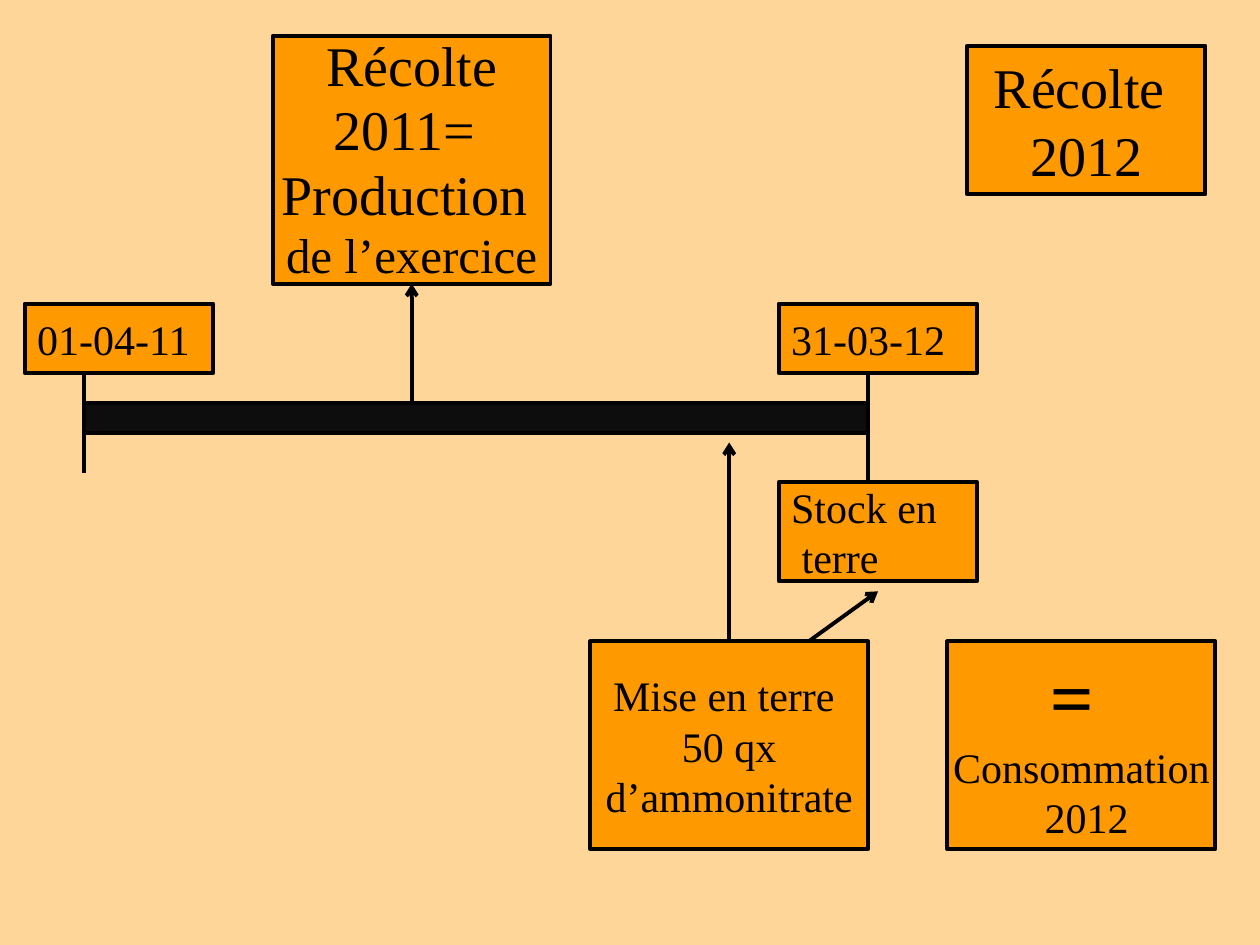
from lxml.etree import SubElement
from pptx import Presentation
from pptx.dml.color import RGBColor
from pptx.enum.shapes import MSO_CONNECTOR, MSO_SHAPE
from pptx.enum.text import MSO_ANCHOR, PP_ALIGN
from pptx.oxml.ns import qn
from pptx.util import Cm, Pt

BACKGROUND = RGBColor(0xFF, 0xD6, 0x99)
ORANGE = RGBColor(0xFF, 0x99, 0x00)
BAR_BLACK = RGBColor(0x0D, 0x0D, 0x0D)
BLACK = RGBColor(0x00, 0x00, 0x00)
FONT = "Times New Roman"
LINE_WIDTH = Pt(2.25)

# Timeline positions in centimetres
START_X, END_X = 1.7, 17.5
DATE_TOP, DATE_HEIGHT = 6.12, 1.4
BAR_TOP, BAR_HEIGHT = 8.13, 0.61
STOCK_TOP = 9.72
LOWER_TOP, LOWER_HEIGHT = 12.93, 4.19
HARVEST_BOTTOM = 5.72


def add_rectangle(slide, left, top, width, height, fill=ORANGE):
    shape = slide.shapes.add_shape(
        MSO_SHAPE.RECTANGLE, Cm(left), Cm(top), Cm(width), Cm(height))
    shape.shadow.inherit = False
    shape.fill.solid()
    shape.fill.fore_color.rgb = fill
    shape.line.color.rgb = BLACK
    shape.line.width = LINE_WIDTH
    return shape


def add_text(paragraph, text, size=24, bold=False, align=PP_ALIGN.CENTER, spacing=1.0):
    paragraph.alignment = align
    paragraph.line_spacing = spacing
    run = paragraph.add_run()
    run.text = text
    run.font.name = FONT
    run.font.size = Pt(size)
    run.font.bold = bold
    run.font.color.rgb = BLACK


def add_box(slide, left, top, width, height, lines, **text_format):
    """Add an orange box; each line is (text, size) or (text, size, bold)."""
    frame = add_rectangle(slide, left, top, width, height).text_frame
    frame.word_wrap = False
    frame.vertical_anchor = MSO_ANCHOR.MIDDLE
    for index, (text, size, *bold) in enumerate(lines):
        paragraph = frame.add_paragraph() if index else frame.paragraphs[0]
        add_text(paragraph, text, size=size, bold=bool(bold), **text_format)


def add_line(slide, start, end, arrow=False):
    connector = slide.shapes.add_connector(
        MSO_CONNECTOR.STRAIGHT, *(Cm(value) for value in (*start, *end)))
    connector.line.color.rgb = BLACK
    connector.line.width = LINE_WIDTH
    properties = connector._element.spPr
    if arrow:
        SubElement(properties.find(qn("a:ln")), qn("a:tailEnd"), type="arrow")
    SubElement(properties, qn("a:effectLst"))


def main():
    presentation = Presentation()
    presentation.slide_width, presentation.slide_height = Cm(25.4), Cm(19.05)
    slide = presentation.slides.add_slide(presentation.slide_layouts[6])
    slide.background.fill.solid()
    slide.background.fill.fore_color.rgb = BACKGROUND

    # Period limits and their dates
    date_bottom = DATE_TOP + DATE_HEIGHT
    add_line(slide, (START_X, date_bottom), (START_X, 9.53))
    add_line(slide, (END_X, date_bottom), (END_X, STOCK_TOP))
    for left, width, date in ((0.5, 3.8, "01-04-11"), (15.7, 4, "31-03-12")):
        add_box(slide, left, DATE_TOP, width, DATE_HEIGHT, [(date, 24)],
                align=PP_ALIGN.LEFT)

    # Harvests; the four lines of the first are set tighter to stay in the box
    add_box(slide, 5.5, 0.72, 5.6, HARVEST_BOTTOM - 0.72, [
        ("Récolte", 32), ("2011= ", 32), ("Production ", 32), ("de l’exercice", 28)],
        spacing=0.96)
    add_box(slide, 19.5, 0.92, 4.8, 3, [("Récolte ", 32), ("2012", 32)])

    # Period bar
    add_rectangle(slide, START_X, BAR_TOP, END_X - START_X, BAR_HEIGHT, fill=BAR_BLACK)

    # Fertiliser, stock and consumption
    add_box(slide, 11.9, LOWER_TOP, 5.6, LOWER_HEIGHT, [
        ("Mise en terre ", 24), ("50 qx", 24), ("d’ammonitrate", 24)])
    add_box(slide, 19.1, LOWER_TOP, 5.4, LOWER_HEIGHT, [
        ("= ", 44, True), ("Consommation", 24), (" 2012", 24)])
    add_box(slide, 15.7, STOCK_TOP, 4, 2, [("Stock en", 24), (" terre", 24)],
            align=PP_ALIGN.LEFT)

    # Arrows
    for start, end in (((8.3, BAR_TOP), (8.3, HARVEST_BOTTOM)),
                       ((16.3, LOWER_TOP), (17.7, 11.92)),
                       ((14.7, LOWER_TOP), (14.7, 8.92))):
        add_line(slide, start, end, arrow=True)

    presentation.save("out.pptx")


if __name__ == "__main__":
    main()
